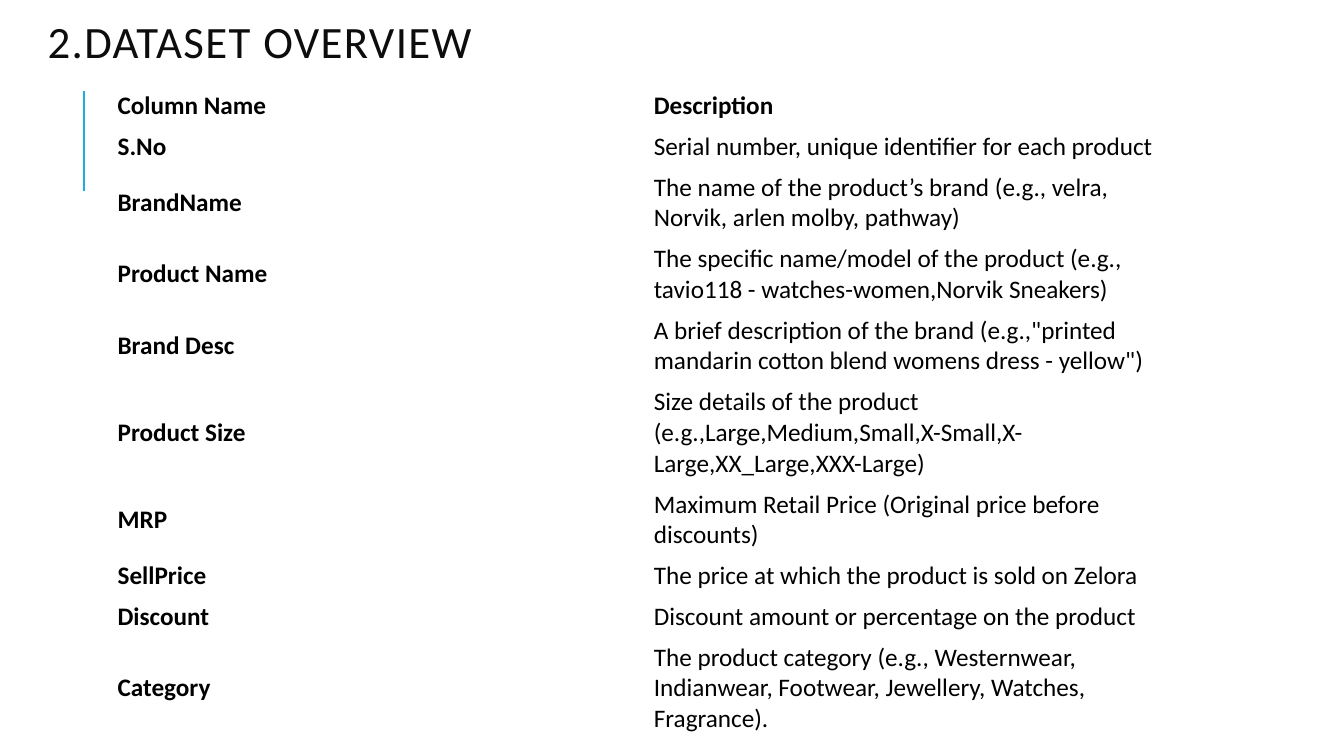
from dataclasses import dataclass

from pptx import Presentation
from pptx.dml.color import RGBColor
from pptx.enum.shapes import MSO_CONNECTOR
from pptx.enum.text import MSO_ANCHOR
from pptx.oxml.ns import qn
from pptx.slide import Slide
from pptx.text.text import TextFrame
from pptx.util import Emu, Inches, Pt

WIDTH, HEIGHT = Inches(13.33), Inches(7.5)
FONT = "Calibri"
BLACK, TITLE_INK, ACCENT = "000000", "0D0D0D", "1CADE4"
LINE_HEIGHT, CELL_PADDING = 0.305, 0.1


@dataclass(frozen=True)
class Field:
    name: str
    description: str
    lines: int = 1
    header: bool = False


FIELDS = [
    Field("Column Name", "Description", header=True),
    Field("S.No", "Serial number, unique identifier for each product"),
    Field("BrandName", "The name of the product’s brand (e.g., velra, Norvik, arlen molby, pathway)", 2),
    Field("Product Name", "The specific name/model of the product (e.g., tavio118 - watches-women,Norvik Sneakers)", 2),
    Field("Brand Desc", 'A brief description of the brand (e.g.,"printed mandarin cotton blend womens dress - yellow")', 2),
    Field("Product Size", "Size details of the product (e.g.,Large,Medium,Small,X-Small,X-Large,XX_Large,XXX-Large)", 3),
    Field("MRP", "Maximum Retail Price (Original price before discounts)", 2),
    Field("SellPrice", "The price at which the product is sold on Zelora"),
    Field("Discount", "Discount amount or percentage on the product"),
    Field("Category", "The product category (e.g., Westernwear, Indianwear, Footwear, Jewellery, Watches, Fragrance).", 3),
]


def x(percent: float) -> Emu:
    return Emu(round(WIDTH * percent / 100))


def y(percent: float) -> Emu:
    return Emu(round(HEIGHT * percent / 100))


def rgb(value: str) -> RGBColor:
    return RGBColor.from_string(value)


def write(tf: TextFrame, text: str, *, size: float = 18, color: str = BLACK,
          bold: bool = False, line_spacing: float = 1.0, tracking: float = 0) -> None:
    p = tf.paragraphs[0]
    p.line_spacing = line_spacing
    r = p.add_run()
    r.text = text
    r.font.name, r.font.size, r.font.bold = FONT, Pt(size), bold
    r.font.color.rgb = rgb(color)
    if tracking:
        r.font._element.set("spc", str(round(tracking * 100)))


def add_accent_line(s: Slide) -> None:
    line = s.shapes.add_connector(MSO_CONNECTOR.STRAIGHT, x(6.25), y(25.33), x(6.25), y(12))
    line.line.color.rgb = rgb(ACCENT)
    line.line.width = Pt(1.5)
    sp_pr = line._element.spPr
    sp_pr.append(sp_pr.makeelement(qn("a:effectLst"), {}))


def add_title(s: Slide, text: str) -> None:
    tf = s.shapes.add_textbox(x(2.8), y(1.9), x(79.75), y(8.4)).text_frame
    tf.word_wrap = True
    tf.vertical_anchor = MSO_ANCHOR.MIDDLE
    write(tf, text, size=32, color=TITLE_INK, line_spacing=0.8, tracking=1)


def add_fields_table(s: Slide, fields: list[Field]) -> None:
    heights = [Inches(CELL_PADDING + LINE_HEIGHT * field.lines) for field in fields]
    table = s.shapes.add_table(len(fields), 2, x(8), y(11.3), x(79.8), Emu(sum(heights))).table
    table.first_row = table.horz_banding = False
    for row, field, height in zip(table.rows, fields, heights):
        row.height = height
        texts = [(field.name, True), (field.description, field.header)]
        for cell, (text, bold) in zip(row.cells, texts):
            cell.fill.background()
            cell.vertical_anchor = MSO_ANCHOR.MIDDLE
            write(cell.text_frame, text, bold=bold)


def main() -> None:
    prs = Presentation()
    prs.slide_width, prs.slide_height = WIDTH, HEIGHT
    s = prs.slides.add_slide(prs.slide_layouts[6])
    add_accent_line(s)
    add_title(s, "2.DATASET OVERVIEW")
    add_fields_table(s, FIELDS)
    prs.save("out.pptx")


if __name__ == "__main__":
    main()
